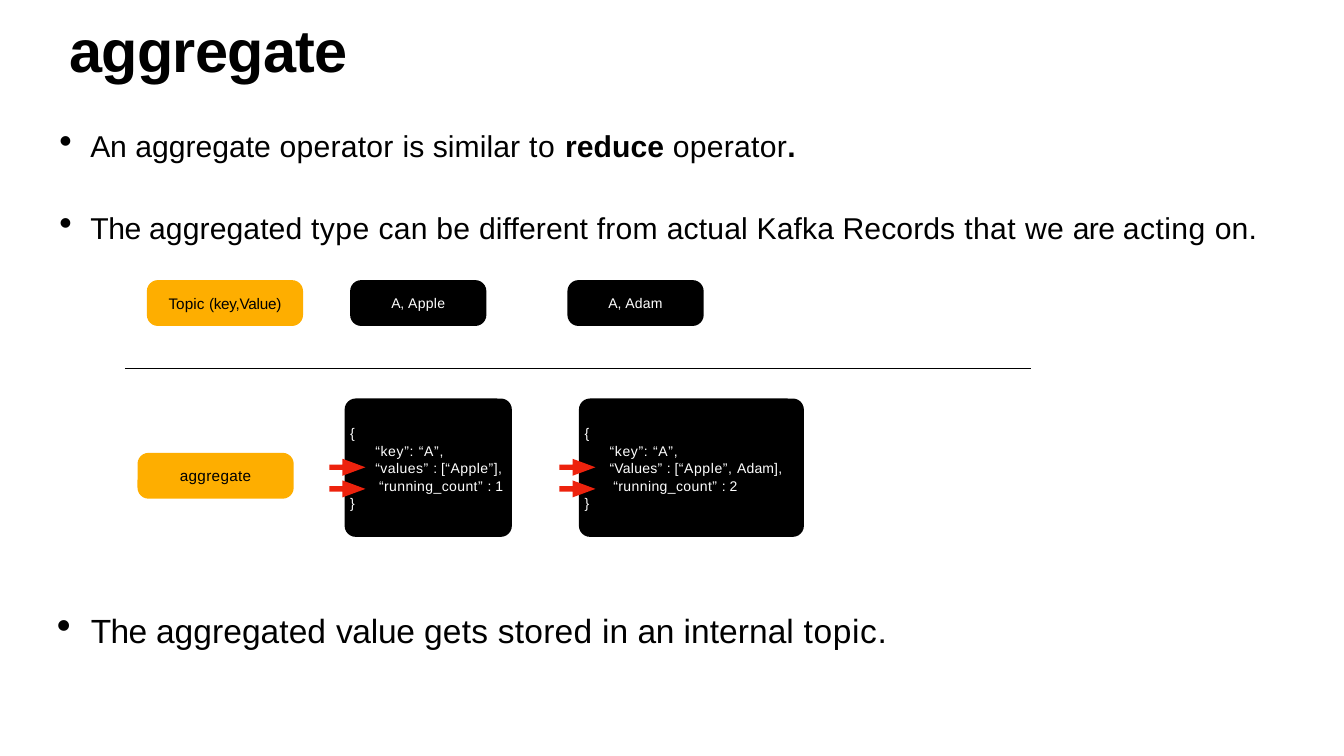
import pptx
import pptx.dml.color
import pptx.enum.shapes
import pptx.enum.text
import pptx.oxml
import pptx.oxml.ns
import pptx.util
from lxml import etree

Pt = pptx.util.Pt
RGBColor = pptx.dml.color.RGBColor
SHAPE = pptx.enum.shapes.MSO_SHAPE
ALIGN = pptx.enum.text.PP_ALIGN
ANCHOR = pptx.enum.text.MSO_ANCHOR
qn = pptx.oxml.ns.qn

BLACK = RGBColor(0x00, 0x00, 0x00)
WHITE = RGBColor(0xFF, 0xFF, 0xFF)
AMBER = RGBColor(0xFE, 0xAE, 0x00)
RED = RGBColor(0xED, 0x22, 0x0D)


class AggregateSlide:
    """Style and current slide; runs are (text, letter spacing[, bold])."""

    font = "Arial"
    corner = 13

    def __init__(self, deck):
        self.slide = deck.slides.add_slide(deck.slide_layouts[6])

    def add_runs(self, paragraph, runs, size, color, bold=False):
        for words, spacing, *own_bold in runs:
            run = paragraph.add_run()
            run.text = words
            run.font.name = self.font
            run.font.size = Pt(size)
            run.font.bold = own_bold[0] if own_bold else bold
            run.font.color.rgb = color
            run.font._element.set("spc", str(round(spacing * 100)))

    def frame(self, shape, left_inset=0, anchor=ANCHOR.TOP, wrap=True):
        frame = shape.text_frame
        frame.margin_left = Pt(left_inset)
        frame.margin_top = frame.margin_right = frame.margin_bottom = 0
        frame.vertical_anchor = anchor
        frame.word_wrap = wrap
        return frame

    def text(self, left, top, width, height, items, size,
             bold=False, hanging=0, gap=0):
        box = self.slide.shapes.add_textbox(Pt(left), Pt(top), Pt(width), Pt(height))
        frame = self.frame(box)
        for i, runs in enumerate(items):
            paragraph = frame.add_paragraph() if i else frame.paragraphs[0]
            if i:
                paragraph.space_before = Pt(gap)
            if hanging:
                self.bullet(paragraph, hanging)
            self.add_runs(paragraph, runs, size, BLACK, bold)

    def bullet(self, paragraph, hanging):
        props = paragraph._p.get_or_add_pPr()
        props.set("marL", str(Pt(hanging)))
        props.set("indent", str(-Pt(hanging)))
        etree.SubElement(props, qn("a:buSzPct")).set("val", "123000")
        etree.SubElement(props, qn("a:buChar")).set("char", "•")

    def shape(self, kind, left, top, width, height, fill):
        shape = self.slide.shapes.add_shape(kind, Pt(left), Pt(top), Pt(width), Pt(height))
        shape.shadow.inherit = False
        shape.fill.solid()
        shape.fill.fore_color.rgb = fill
        shape.line.fill.background()
        return shape

    def card(self, left, top, width, height, fill):
        card = self.shape(SHAPE.ROUNDED_RECTANGLE, left, top, width, height, fill)
        card.adjustments[0] = self.corner / min(width, height)
        return card

    def label(self, left, top, width, runs, size, fill, color):
        card = self.card(left, top, width, 54, fill)
        paragraph = self.frame(card, anchor=ANCHOR.MIDDLE).paragraphs[0]
        paragraph.alignment = ALIGN.CENTER
        self.add_runs(paragraph, runs, size, color)

    def code(self, left, top, width, lines):
        card = self.card(left, top, width, 163, BLACK)
        frame = self.frame(card, 2.8, ANCHOR.MIDDLE)
        for i, (indent, runs) in enumerate(lines):
            paragraph = frame.add_paragraph() if i else frame.paragraphs[0]
            paragraph.alignment = ALIGN.LEFT
            paragraph.line_spacing = Pt(20.6)
            paragraph._p.get_or_add_pPr().set("marL", str(Pt(indent)))
            self.add_runs(paragraph, runs, 16.5, WHITE)

    def arrow(self, left, top):
        arrow = self.shape(SHAPE.RIGHT_ARROW, left, top, 42.5, 20, RED)
        arrow.adjustments[0] = 0.32
        arrow.adjustments[1] = 1.35

    def rule(self, left, right, y):
        rule = self.slide.shapes.add_connector(
            pptx.enum.shapes.MSO_CONNECTOR.STRAIGHT, Pt(left), Pt(y), Pt(right), Pt(y))
        rule.line.color.rgb = BLACK
        rule.line.width = Pt(1.65)
        etree.SubElement(rule._element.spPr, qn("a:effectLst"))


def main():
    deck = pptx.Presentation()
    deck.slide_width, deck.slide_height = Pt(1583.28), Pt(890.64)
    page = AggregateSlide(deck)

    # Title and bullets
    page.text(81.5, 15.5, 330, 86, [[("aggregate", -0.8)]], 70, bold=True)
    similar = [("An", -0.3), (" aggregate ", 0), ("operator ", 0.3), ("is ", 0),
               ("similar ", 0.1), ("to ", 1), ("reduce ", 0.1, True),
               ("operator", 0.3), (".", 0.3, True)]
    different = [("The ", -0.6), ("aggregated ", 0.1), ("type ", 0.5), ("can ", 0.2),
                 ("be ", 0.3), ("different ", 0.1), ("from ", 0.3), ("actual", 0.2),
                 (" Kafka Records ", 0.1), ("that ", 0.5), ("we ", 0.3),
                 ("are ", -0.7), ("acting ", 0.5), ("on.", 0.2)]
    page.text(70, 150.5, 1440, 143, [similar, different], 35.5, hanging=36.5, gap=54)
    stored = [("The ", -0.7), ("aggregated ", 0.1), ("value ", -0.3),
              ("gets stored", 0.3), (" in ", 0), ("an ", -0.3),
              ("internal ", 0.1), ("topic.", 0.8)]
    page.text(67, 719, 983, 50, [stored], 39.5, hanging=40)

    # Topic row
    page.label(173, 330, 184, [("Topic ", 0.1), ("(key,Value)", -0.3)], 18, AMBER, BLACK)
    for left, name, spacing in ((412.5, "Apple", 0.4), (668.5, "Adam", 0.3)):
        page.label(left, 330, 160.5, [("A, ", -0.1), (name, spacing)], 16.5, BLACK, WHITE)
    page.rule(147, 1214, 434)

    # Aggregate row
    page.label(162, 533.5, 184, [("aggregate", 0.4)], 18, AMBER, BLACK)
    first_values = [("“values” ", 0.6), (": ", 0), ("[“Apple”],", 0.6)]
    second_values = [("“Values” ", 0.3), (": ", 0), ("[“Apple”, ", 0.7), ("Adam],", 0.2)]
    records = ((406, 197, 388, first_values, "1"), (682, 265, 659, second_values, "2"))
    for left, width, arrow_left, values, count in records:
        page.code(left, 469.5, width, [
            (0, [("{", -0.7)]),
            (29.5, [("“key”: ", 0.8), ("“A”,", 0.9)]),
            (29.5, values),
            (34, [("“running_count” ", 0.5), (": ", 0), (count, -0.1)]),
            (0, [("}", -0.7)]),
        ])
        for arrow_top in (540.5, 566):
            page.arrow(arrow_left, arrow_top)

    deck.save("out.pptx")


if __name__ == "__main__":
    main()
